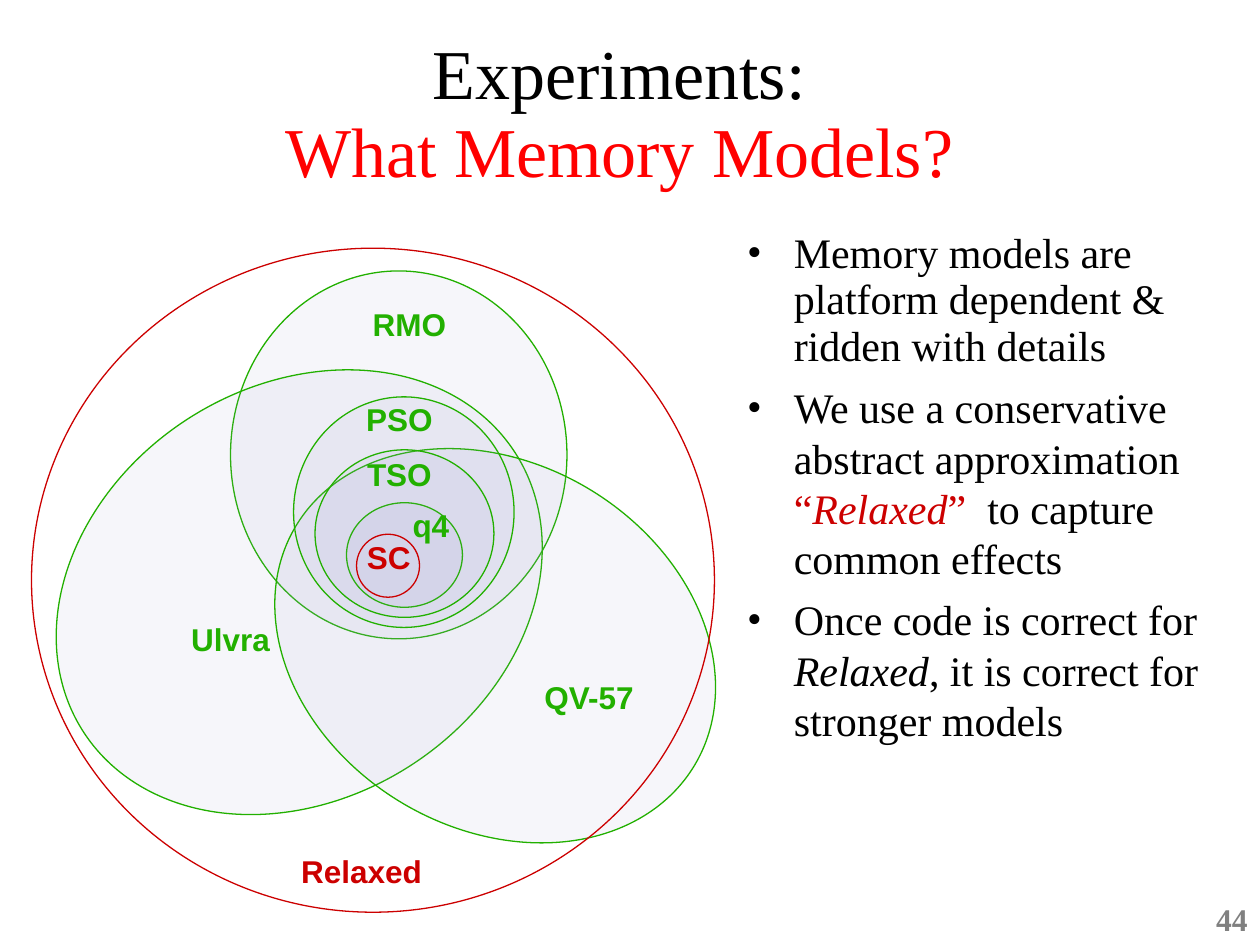
from dataclasses import dataclass

from lxml.etree import SubElement
from pptx import Presentation
from pptx.dml.color import RGBColor
from pptx.enum.shapes import MSO_SHAPE
from pptx.enum.text import MSO_ANCHOR, MSO_AUTO_SIZE, PP_ALIGN
from pptx.oxml.ns import qn
from pptx.util import Inches, Pt


@dataclass(frozen=True)
class Theme:
    black: str = "000000"
    title_red: str = "FF0000"
    red: str = "CC0000"
    green: str = "22B000"
    lilac: str = "A1A1D1"
    gray: str = "808080"
    serif: str = "Times New Roman"
    sans: str = "Arial"
    title_size: int = 40
    body_size: int = 24
    label_size: int = 18
    outline: float = 0.74
    opacity: int = 9
    tight: float = 0.93


THEME = Theme()

MODELS = [
    (1.83, 2.15, 2.67, 2.92, 0),
    (0.74, 2.66, 3.27, 4.08, 237),
    (2.48, 3.28, 2.9, 3.69, 121),
    (2.33, 3.15, 1.75, 1.83, 0),
    (2.75, 3.99, 0.92, 0.83, 0),
    (2.5, 3.57, 1.42, 1.33, 0),
]
BOUNDS = [(0.25, 1.97, 5.42, 5.27), (2.83, 4.24, 0.5, 0.5)]

LABELS = [
    ("TSO", 2.67, 3.59, 1, THEME.green),
    ("PSO", 2.67, 3.15, 1, THEME.green),
    ("QV-57", 4.01, 5.36, 1.33, THEME.green),
    ("Ulvra", 1.33, 4.9, 1, THEME.green),
    ("Relaxed", 2.08, 6.74, 1.58, THEME.red),
    ("RMO", 2.75, 2.4, 1, THEME.green),
    ("q4", 2.92, 3.99, 1, THEME.green),
    ("SC", 1.42, 4.25, 3.33, THEME.red),
]

BULLETS = [
    [("Memory models are platform dependent & ridden with details", THEME.black, False)],
    [
        ("We use a conservative abstract approximation ", THEME.black, False),
        ("“", THEME.red, False),
        ("Relaxed", THEME.red, True),
        ("”  ", THEME.red, False),
        ("to capture common effects", THEME.black, False),
    ],
    [
        ("Once code is correct for ", THEME.black, False),
        ("Relaxed", THEME.black, True),
        (", it is correct for stronger models", THEME.black, False),
    ],
]


def place(shape, left, top, width, height):
    shape.left, shape.top = Inches(left), Inches(top)
    shape.width, shape.height = Inches(width), Inches(height)


def set_font(font, name, size, color=None, bold=False):
    font.name, font.size, font.bold = name, Pt(size), bold
    if color:
        font.color.rgb = RGBColor.from_string(color)


def add_run(paragraph, text, color, italic=False):
    run = paragraph.add_run()
    run.text = text
    run.font.color.rgb = RGBColor.from_string(color)
    if italic:
        run.font.italic = True


def fill_title(slide):
    title = slide.shapes.title
    place(title, 0, 0.5, 9.83, 0.83)
    title.text_frame.auto_size = MSO_AUTO_SIZE.NONE
    title.text_frame.vertical_anchor = MSO_ANCHOR.MIDDLE
    paragraph = title.text_frame.paragraphs[0]
    paragraph.alignment = PP_ALIGN.CENTER
    paragraph.line_spacing = THEME.tight
    set_font(paragraph.font, THEME.serif, THEME.title_size)
    add_run(paragraph, "Experiments:", THEME.black)
    paragraph.add_line_break()
    add_run(paragraph, "What Memory Models?", THEME.title_red)


def set_bullet(paragraph, indent):
    properties = paragraph._p.get_or_add_pPr()
    properties.set("marL", str(Inches(indent)))
    properties.set("indent", str(-Inches(indent)))
    color = SubElement(properties, qn("a:buClr"))
    SubElement(color, qn("a:srgbClr"), val=THEME.black)
    SubElement(properties, qn("a:buFont"), typeface=THEME.serif)
    SubElement(properties, qn("a:buChar"), char="•")


def fill_body(slide):
    body = slide.placeholders[1]
    place(body, 5.83, 1.78, 4.08, 5.72)
    frame = body.text_frame
    frame.auto_size = MSO_AUTO_SIZE.NONE
    for index, runs in enumerate(BULLETS):
        paragraph = frame.add_paragraph() if index else frame.paragraphs[0]
        paragraph.line_spacing = 1.0 if index else THEME.tight
        paragraph.space_before = Pt(6)
        set_bullet(paragraph, 0.37)
        set_font(paragraph.font, THEME.serif, THEME.body_size)
        for text, color, italic in runs:
            add_run(paragraph, text, color, italic)


def add_ellipse(slide, box, line_color, fill_color=None, rotation=0):
    ellipse = slide.shapes.add_shape(MSO_SHAPE.OVAL, *map(Inches, box))
    ellipse.shadow.inherit = False
    ellipse.rotation = rotation
    ellipse.line.color.rgb = RGBColor.from_string(line_color)
    ellipse.line.width = Pt(THEME.outline)
    if fill_color is None:
        ellipse.fill.background()
        return
    ellipse.fill.solid()
    ellipse.fill.fore_color.rgb = RGBColor.from_string(fill_color)
    color = ellipse._element.spPr.find(qn("a:solidFill")).find(qn("a:srgbClr"))
    SubElement(color, qn("a:alpha"), val=str(THEME.opacity * 1000))


def add_label(slide, text, left, top, width, color, font=THEME.sans,
              alignment=PP_ALIGN.CENTER, anchor=MSO_ANCHOR.TOP):
    label = slide.shapes.add_textbox(Inches(left), Inches(top), Inches(width), Inches(0.38))
    frame = label.text_frame
    frame.word_wrap = True
    frame.vertical_anchor = anchor
    paragraph = frame.paragraphs[0]
    paragraph.text = text
    paragraph.alignment = alignment
    paragraph.line_spacing = THEME.tight
    set_font(paragraph.font, font, THEME.label_size, color, bold=True)


def main():
    presentation = Presentation()
    presentation.slide_width, presentation.slide_height = Inches(10), Inches(7.5)
    slide = presentation.slides.add_slide(presentation.slide_layouts[1])
    fill_title(slide)
    fill_body(slide)
    for *box, rotation in MODELS:
        add_ellipse(slide, box, THEME.green, THEME.lilac, rotation)
    for box in BOUNDS:
        add_ellipse(slide, box, THEME.red)
    for label in LABELS:
        add_label(slide, *label)
    add_label(slide, "44", 7.92, 7.12, 2.08, THEME.gray, THEME.serif,
              PP_ALIGN.RIGHT, MSO_ANCHOR.BOTTOM)
    presentation.save("out.pptx")


main()
